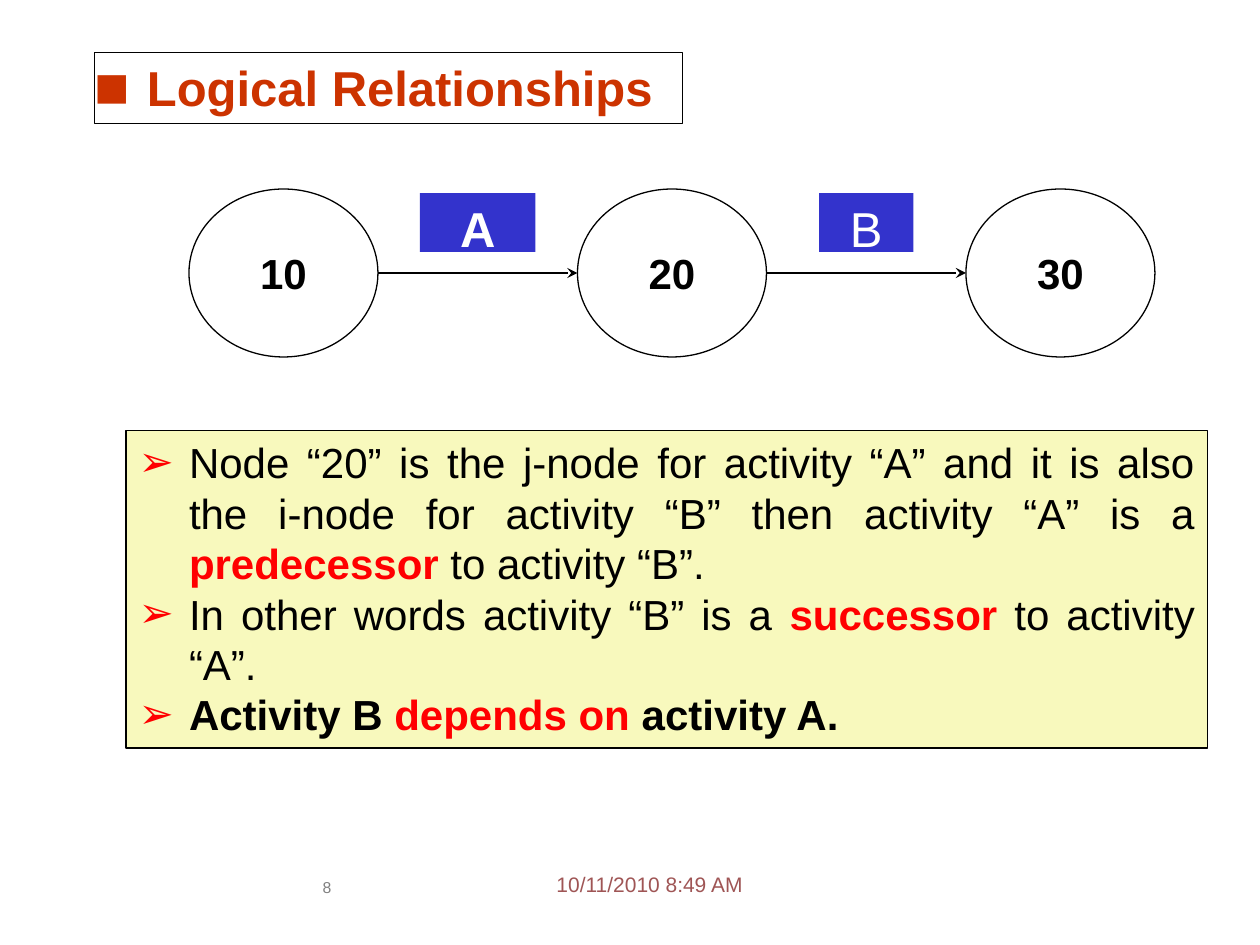
import pptx
import pptx.util
import pptx.dml.color
import pptx.enum.shapes
import pptx.enum.text
import pptx.oxml.ns
import lxml.etree

RGB = pptx.dml.color.RGBColor
BLACK = RGB(0x00, 0x00, 0x00)
WHITE = RGB(0xFF, 0xFF, 0xFF)
RED = RGB(0xFF, 0x00, 0x00)
RUST = RGB(0xCC, 0x33, 0x00)
BLUE = RGB(0x33, 0x33, 0xCC)
CREAM = RGB(0xF8, 0xF9, 0xBD)
ROSE = RGB(0x9F, 0x55, 0x55)
GRAY = RGB(0x80, 0x80, 0x80)

Pt = pptx.util.Pt
KIND = pptx.enum.shapes.MSO_SHAPE
ALIGN = pptx.enum.text.PP_ALIGN
ANCHOR = pptx.enum.text.MSO_ANCHOR
qn = pptx.oxml.ns.qn

deck = pptx.Presentation()
deck.slide_width = pptx.util.Inches(10)
deck.slide_height = pptx.util.Inches(7.5)
slide = deck.slides.add_slide(deck.slide_layouts[1])
COL = deck.slide_width / 120
ROW = deck.slide_height / 90


def grid(left, top, width, height):
    """Turn grid columns and rows into slide lengths."""
    return [round(n * unit) for n, unit in
            ((left, COL), (top, ROW), (width, COL), (height, ROW))]


def write(shape, runs, size, align, top=0, side=0, para=None):
    """Set up the frame and add (text, colour, bold) runs to a paragraph."""
    frame = shape.text_frame
    frame.word_wrap = True
    frame.auto_size = pptx.enum.text.MSO_AUTO_SIZE.NONE
    frame.margin_left = frame.margin_right = Pt(side)
    frame.margin_top, frame.margin_bottom = Pt(top), 0
    para = para or frame.paragraphs[0]
    para.alignment = align
    para.space_before = 0
    for text, color, bold in runs:
        run = para.add_run()
        run.text = text
        run.font.name = "Arial"
        run.font.size = Pt(size)
        run.font.bold = bold
        run.font.color.rgb = color
    return para


# Network: three nodes, evenly spaced, joined by arrows
FIRST, PITCH, WIDE, TALL, TOP = 18, 37, 18, 16, 18
for i, name in enumerate(("10", "20", "30")):
    left = FIRST + i * PITCH
    node = slide.shapes.add_shape(KIND.OVAL, *grid(left, TOP, WIDE, TALL))
    node.shadow.inherit = False
    node.fill.solid()
    node.fill.fore_color.rgb = WHITE
    node.line.color.rgb = BLACK
    node.line.width = Pt(0.75)
    node.text_frame.vertical_anchor = ANCHOR.MIDDLE
    write(node, [(name, BLACK, True)], 24, ALIGN.CENTER)

for i in range(2):
    start = FIRST + WIDE + i * PITCH
    x, y, gap, _ = grid(start, TOP + TALL / 2, PITCH - WIDE, 0)
    arrow = slide.shapes.add_connector(
        pptx.enum.shapes.MSO_CONNECTOR.STRAIGHT, x, y, x + gap, y)
    arrow.line.color.rgb = BLACK
    arrow.line.width = Pt(1.5)
    lxml.etree.SubElement(arrow.line._get_or_add_ln(), qn("a:tailEnd"),
                          type="stealth")
    lxml.etree.SubElement(arrow._element.spPr, qn("a:effectLst"))

for name, left, width, bold in (("A", 40, 11, True), ("B", 78, 9, False)):
    label = slide.shapes.add_shape(KIND.RECTANGLE,
                                   *grid(left, 18.4, width, 5.6))
    label.shadow.inherit = False
    label.fill.solid()
    label.fill.fore_color.rgb = BLUE
    label.line.fill.background()
    label.text_frame.vertical_anchor = ANCHOR.TOP
    write(label, [(name, WHITE, bold)], 28, ALIGN.CENTER, top=3)

# Title and list
title = slide.shapes.title
body = slide.placeholders[1]
for box, place, fill in ((title, (9, 5, 56, 6.75), WHITE),
                         (body, (12, 41, 103, 30.25), CREAM)):
    box.left, box.top, box.width, box.height = grid(*place)
    box.fill.solid()
    box.fill.fore_color.rgb = fill
    box.line.color.rgb = BLACK
    box.line.width = Pt(0.75)
    box.text_frame.vertical_anchor = ANCHOR.TOP

head = write(title, [("Logical Relationships", RUST, True)], 28,
             ALIGN.LEFT, top=3)
marks = [(head, "■", RUST, 120, 5)]

points = (
    [("Node “20” is the j-node for activity “A” and it is also the i-node "
      "for activity “B” then activity “A” is a ", BLACK, False),
     ("predecessor", RED, True), (" to activity “B”.", BLACK, False)],
    [("In other words activity “B” is a ", BLACK, False),
     ("successor", RED, True), (" to activity “A”.", BLACK, False)],
    [("Activity B ", BLACK, True), ("depends on ", RED, True),
     ("activity A.", BLACK, True)],
)
for i, runs in enumerate(points):
    para = body.text_frame.add_paragraph() if i else None
    para = write(body, runs, 24, ALIGN.JUSTIFY, top=3.6, side=7.2, para=para)
    para.line_spacing = Pt(28.8)
    marks.append((para, "➢", RED, 100, 4.8))

for para, mark, color, size, indent in marks:
    props = para._p.get_or_add_pPr()
    props.set("marL", str(round(indent * COL)))
    props.set("indent", str(-round(indent * COL)))
    tint = lxml.etree.SubElement(props, qn("a:buClr"))
    lxml.etree.SubElement(tint, qn("a:srgbClr"), val=str(color))
    lxml.etree.SubElement(props, qn("a:buSzPct"), val=str(size * 1000))
    lxml.etree.SubElement(props, qn("a:buFont"), typeface="Arial")
    lxml.etree.SubElement(props, qn("a:buChar"), char=mark)

# Date and page number
for text, place, size, color, align in (
        ("10/11/2010 8:49 AM", (53, 83, 20, 3), 12, ROSE, ALIGN.LEFT),
        ("8", (28.8, 83.6, 4.7, 4), 9, GRAY, ALIGN.CENTER)):
    note = slide.shapes.add_textbox(*grid(*place))
    write(note, [(text, color, False)], size, align)

deck.save("out.pptx")
